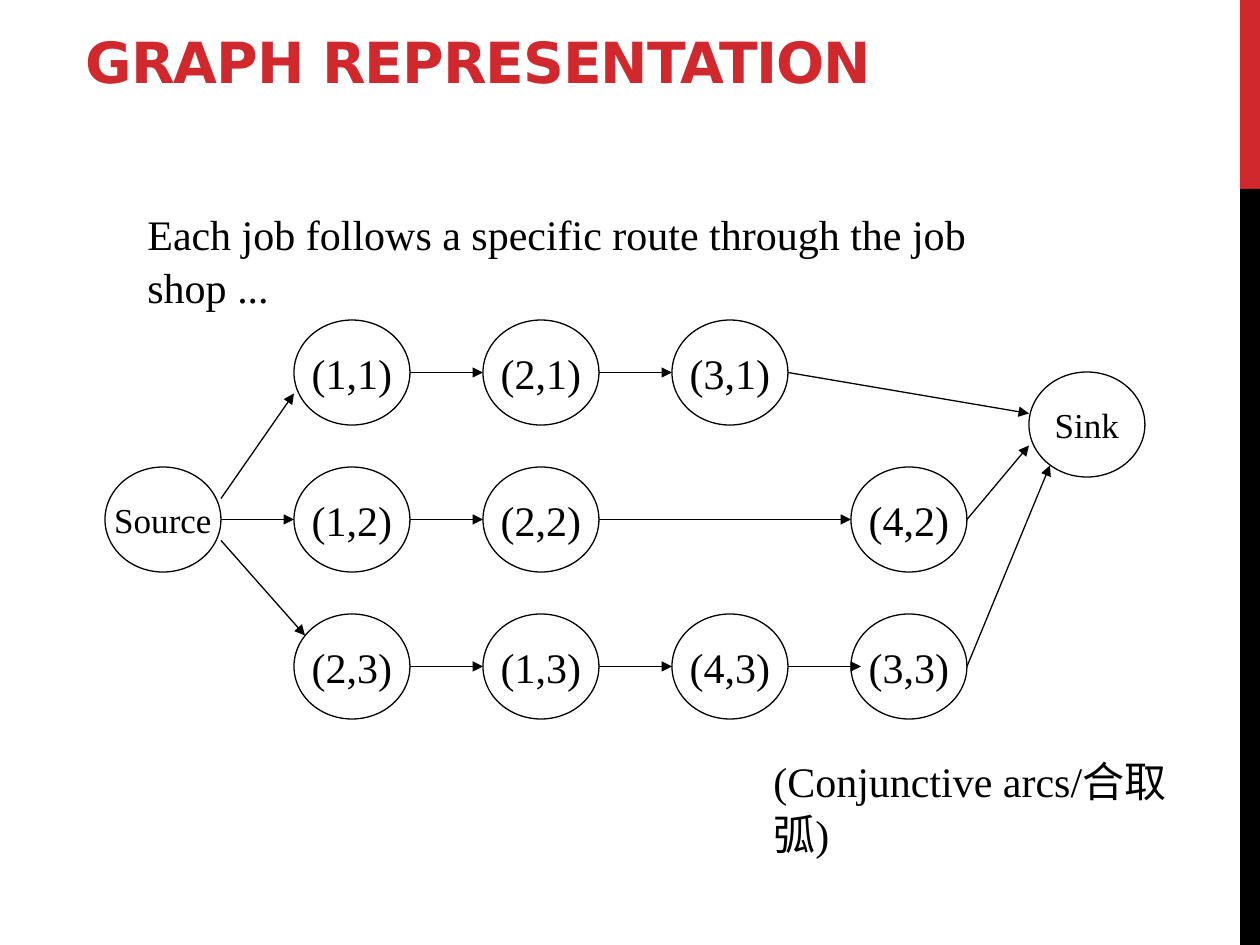
from pptx import Presentation
from pptx.dml.color import RGBColor
from pptx.enum.shapes import MSO_CONNECTOR as Conn, MSO_SHAPE as Shape
from pptx.enum.text import MSO_ANCHOR as Anchor, MSO_AUTO_SIZE as Fit, PP_ALIGN as Align
from pptx.oxml.ns import qn
from pptx.util import Pt
from lxml.etree import SubElement

# Content
TITLE = "GRAPH REPRESENTATION"
# text, left, top, width, right inset
NOTES = [
    ("Each job follows a specific route through the job shop ...", 135, 199, 975, 90),
    ("(Conjunctive arcs/合取弧)", 761, 746, 479, 50),
]
COLS = [294, 483, 672, 851]
ROWS = [320, 467, 614]
JOBS = [
    ["(1,1)", "(2,1)", "(3,1)", None],
    ["(1,2)", "(2,2)", None, "(4,2)"],
    ["(2,3)", "(1,3)", "(4,3)", "(3,3)"],
]
ENDS = {"Source": (105, 467), "Sink": (1029, 372)}
# Arcs that leave or meet a node off its side's middle: start dy, end dx, end dy
SHIFTS = {
    ("Source", "(1,1)"): (-21, 0, 21),
    ("Source", "(2,3)"): (21, 11, -31),
    ("(4,3)", "(3,3)"): (0, 10, 0),
    ("(3,1)", "Sink"): (0, 0, -11),
    ("(4,2)", "Sink"): (0, 0, 21),
    ("(3,3)", "Sink"): (0, 21, -41 + 82),
}
NODE_W, NODE_H = 116, 105

THEME = {
    "red": RGBColor(0xD1, 0x28, 0x2E), "black": RGBColor(0, 0, 0),
    "head": "DejaVu Sans", "body": "Times New Roman",
    "title": Pt(32.4), "text": Pt(24), "end": Pt(20), "line": Pt(0.75),
}


def px(n):
    return round(n * 914400 / 126)


def box(*nums):
    return [px(n) for n in nums]


def style(para, size, face="body", color="black"):
    font = para.runs[0].font
    font.size, font.name = size, THEME[face]
    font.color.rgb = THEME[color]
    return font


def add_bar(top, height, color):
    bar = slide.shapes.add_shape(Shape.RECTANGLE, *box(1240, top, 20, height))
    bar.shadow.inherit = False
    bar.fill.solid()
    bar.fill.fore_color.rgb = THEME[color]
    bar.line.fill.background()


def add_note(text, left, top, width, inset):
    frame = slide.shapes.add_textbox(*box(left, top, width, 63)).text_frame
    frame.word_wrap = True
    frame.margin_right = px(inset)
    frame.text = text
    para = frame.paragraphs[0]
    para.line_spacing = 1.06
    style(para, THEME["text"])


def add_node(name, left, top):
    node = slide.shapes.add_shape(Shape.OVAL, *box(left, top, NODE_W, NODE_H))
    node.shadow.inherit = False
    node.fill.background()
    node.line.color.rgb, node.line.width = THEME["black"], THEME["line"]
    frame = node.text_frame
    frame.word_wrap = False
    frame.vertical_anchor = Anchor.MIDDLE
    frame.text = name
    para = frame.paragraphs[0]
    para.alignment = Align.CENTER
    style(para, THEME["end" if name in ENDS else "text"])


def add_arc(start, end):
    (x1, y1), (x2, y2) = spots[start], spots[end]
    rise, dx, dy = SHIFTS.get((start, end), (0, 0, 0))
    mid = NODE_H / 2
    arc = slide.shapes.add_connector(
        Conn.STRAIGHT, *box(x1 + NODE_W, y1 + mid + rise, x2 + dx, y2 + mid + dy))
    arc.line.color.rgb, arc.line.width = THEME["black"], THEME["line"]
    SubElement(arc.line._get_or_add_ln(), qn("a:tailEnd"), type="triangle")
    SubElement(arc._element.spPr, qn("a:effectLst"))


deck = Presentation()
deck.slide_width, deck.slide_height = box(1260, 945)
slide = deck.slides.add_slide(deck.slide_layouts[5])

# Side bars
add_bar(0, 189, "red")
add_bar(189, 756, "black")

# Title
title = slide.shapes.title
title.left, title.top, title.width, title.height = box(73, 47, 1018, 51)
frame = title.text_frame
frame.text = TITLE
frame.auto_size = Fit.NONE
frame.vertical_anchor = Anchor.BOTTOM
frame.margin_top, frame.margin_bottom = box(0, 3)
para = frame.paragraphs[0]
para.alignment = Align.LEFT
font = style(para, THEME["title"], "head", "red")
font.bold = True
para.runs[0]._r.get_or_add_rPr().set("spc", "-60")

# Notes
for note in NOTES:
    add_note(*note)

# Nodes
spots = dict(ENDS)
for top, job in zip(ROWS, JOBS):
    spots.update({name: (left, top) for left, name in zip(COLS, job) if name})
for name, spot in spots.items():
    add_node(name, *spot)

# Each job's route from source to sink
for job in JOBS:
    route = ["Source", *filter(None, job), "Sink"]
    for start, end in zip(route, route[1:]):
        add_arc(start, end)

deck.save("out.pptx")
